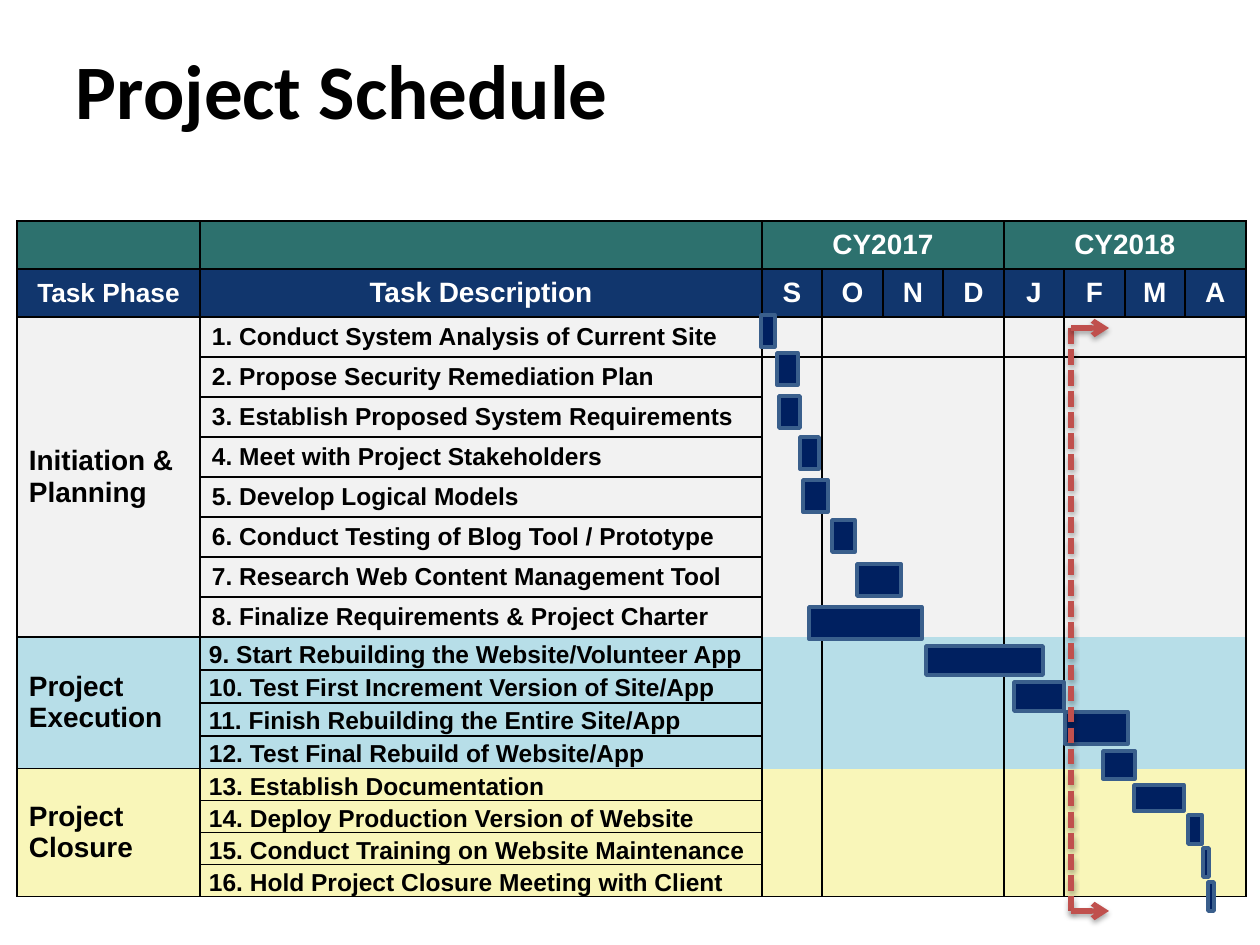
from lxml import etree
from pptx import Presentation
from pptx import util as u
from pptx.dml.color import RGBColor
from pptx.enum import dml, shapes, text
from pptx.oxml.ns import qn

BLACK = RGBColor(0x00, 0x00, 0x00)
WHITE = RGBColor(0xFF, 0xFF, 0xFF)
TEAL = RGBColor(0x2D, 0x71, 0x6E)
NAVY = RGBColor(0x11, 0x36, 0x6D)
GREY = RGBColor(0xF2, 0xF2, 0xF2)
BLUE = RGBColor(0xB7, 0xDE, 0xE8)
YELLOW = RGBColor(0xF9, 0xF6, 0xB9)
BAR_FILL = RGBColor(0x00, 0x20, 0x60)
BAR_LINE = RGBColor(0x3A, 0x5F, 0x8C)
RED = RGBColor(0xC0, 0x50, 0x4D)

PLAIN_TABLE_STYLE = "{2D5ABB26-0587-4C30-8999-92F81FD0307C}"
MONTHS = "SONDJFMA"
# name, fill, row height, side margin, top and bottom margin, line spacing, tasks
PHASES = [
    ("Initiation & Planning", GREY, 40, 12, 5, 1.0, [
        "Conduct System Analysis of Current Site",
        "Propose Security Remediation Plan",
        "Establish Proposed System Requirements",
        "Meet with Project Stakeholders",
        "Develop Logical Models",
        "Conduct Testing of Blog Tool / Prototype",
        "Research Web Content Management Tool",
        "Finalize Requirements & Project Charter"]),
    ("Project Execution", BLUE, 33, 9, 0, 1.15, [
        "Start Rebuilding the Website/Volunteer App",
        "Test First Increment Version of Site/App",
        "Finish Rebuilding the Entire Site/App",
        "Test Final Rebuild of Website/App"]),
    ("Project Closure", YELLOW, 32, 9, 0, 1.15, [
        "Establish Documentation",
        "Deploy Production Version of Website",
        "Conduct Training on Website Maintenance",
        "Hold Project Closure Meeting with Client"]),
]
# left, top, width, height of each task's bar
BARS = [
    (761, 315, 14, 32), (777, 353, 21, 32), (779, 396, 21, 32), (800, 437, 19, 32),
    (803, 480, 25, 32), (832, 520, 23, 32), (857, 564, 44, 32), (809, 607, 113, 32),
    (926, 646, 117, 29), (1014, 682, 50, 29), (1065, 712, 63, 32), (1103, 751, 32, 28),
    (1134, 785, 50, 26), (1188, 815, 14, 29), (1203, 848, 6, 29), (1208, 882, 6, 29),
]


def px(*lengths):
    """Turn lengths at 126 px to the inch into EMU."""
    return [u.Emu(round(length * 914400 / 126)) for length in lengths]


def format_cell(cell, fill, edges="LRTB", words="", size=14, color=BLACK,
                align=text.PP_ALIGN.LEFT, side=12, ends=5, spacing=1.0):
    margins = dict(margin_left=side, margin_right=side, margin_top=ends, margin_bottom=ends)
    for name, value in margins.items():
        setattr(cell, name, px(value)[0])
    cell.vertical_anchor = text.MSO_ANCHOR.MIDDLE
    properties = cell._tc.get_or_add_tcPr()
    for edge in "LRTB":
        if edge in edges:
            border = etree.SubElement(properties, qn(f"a:ln{edge}"), w="12700")
            solid = etree.SubElement(border, qn("a:solidFill"))
            etree.SubElement(solid, qn("a:srgbClr"), val=str(BLACK))
    cell.fill.solid()
    cell.fill.fore_color.rgb = fill
    paragraph = cell.text_frame.paragraphs[0]
    if not words:
        etree.SubElement(paragraph._p, qn("a:endParaRPr"), sz="800")
        return
    paragraph.alignment = align
    paragraph.line_spacing = spacing
    run = paragraph.add_run()
    run.text = words
    for name, value in dict(name="Arial", size=u.Pt(size), bold=True).items():
        setattr(run.font, name, value)
    run.font.color.rgb = color


presentation = Presentation()
presentation.slide_width, presentation.slide_height = px(1260, 945)
slide = presentation.slides.add_slide(presentation.slide_layouts[5])

# Title
title = slide.shapes.title
title.left, title.top, title.width, title.height = px(63, 10, 1134, 158)
title.text_frame.text = "Project Schedule"
title.text_frame.vertical_anchor = text.MSO_ANCHOR.MIDDLE
paragraph = title.text_frame.paragraphs[0]
paragraph.alignment = text.PP_ALIGN.LEFT
for name, value in dict(name="Calibri", size=u.Pt(44), bold=True).items():
    setattr(paragraph.runs[0].font, name, value)
paragraph.runs[0].font.color.rgb = BLACK

# Schedule table
column_widths = [183, 562] + [60, 61] * 4
row_heights = [48, 48] + [phase[2] for phase in PHASES for task in phase[6]]
frame = slide.shapes.add_table(len(row_heights), len(column_widths),
                               *px(17, 221, sum(column_widths), sum(row_heights)))
table = frame.table
table.first_row = table.horz_banding = False
table._tbl.tblPr.find(qn("a:tableStyleId")).text = PLAIN_TABLE_STYLE
for column, width in zip(table.columns, px(*column_widths)):
    column.width = width
for row, height in zip(table.rows, px(*row_heights)):
    row.height = height

centred = dict(color=WHITE, align=text.PP_ALIGN.CENTER)
years = {2: "CY2017", 6: "CY2018"}
for column, heading in enumerate(["Task Phase", "Task Description", *MONTHS]):
    format_cell(table.cell(0, column), TEAL, words=years.get(column, ""), size=16, **centred)
    format_cell(table.cell(1, column), NAVY, words=heading,
                size=15 if column == 0 else 16, **centred)
for column in years:
    table.cell(0, column).merge(table.cell(0, column + 3))

row, last_row = 2, len(row_heights) - 1
for phase, fill, height, side, ends, spacing, tasks in PHASES:
    first = row
    for task in tasks:
        format_cell(table.cell(row, 0), fill, words=phase if row == first else "", size=16)
        format_cell(table.cell(row, 1), fill, words=f"{row - 1}. {task}",
                    side=side, ends=ends, spacing=spacing)
        for column in range(2, 10):
            edges = {2: "L", 5: "R", 6: "L", 9: "R"}.get(column, "")
            edges += {2: "T", last_row: "B"}.get(row, "")
            format_cell(table.cell(row, column), fill, edges, side=0, ends=0)
        row += 1
    table.cell(first, 0).merge(table.cell(row - 1, 0))

# Task bars
bars = slide.shapes.add_group_shape()
for box in BARS:
    bar = bars.shapes.add_shape(shapes.MSO_SHAPE.RECTANGLE, *px(*box))
    bar.shadow.inherit = False
    bar.fill.solid()
    bar.fill.fore_color.rgb = BAR_FILL
    bar.line.color.rgb = BAR_LINE
    bar.line.width = u.Pt(2)

# Status date marker
marker = slide.shapes.add_group_shape()
for ends, is_arrow in [((1071, 328, 1071, 911), False),
                       ((1071, 328, 1109, 328), True),
                       ((1071, 911, 1109, 911), True)]:
    line = marker.shapes.add_connector(shapes.MSO_CONNECTOR.STRAIGHT, *px(*ends))
    line.line.color.rgb = RED
    line.line.width = u.Pt(3)
    if is_arrow:
        etree.SubElement(line.line._get_or_add_ln(), qn("a:tailEnd"), type="arrow")
    else:
        line.line.dash_style = dml.MSO_LINE.SQUARE_DOT
    effects = etree.SubElement(line._element.spPr, qn("a:effectLst"))
    shadow = etree.SubElement(effects, qn("a:outerShdw"), blurRad="40000", dist="23000",
                              dir="5400000", rotWithShape="0")
    shadow_color = etree.SubElement(shadow, qn("a:srgbClr"), val=str(BLACK))
    etree.SubElement(shadow_color, qn("a:alpha"), val="35000")

presentation.save("out.pptx")
